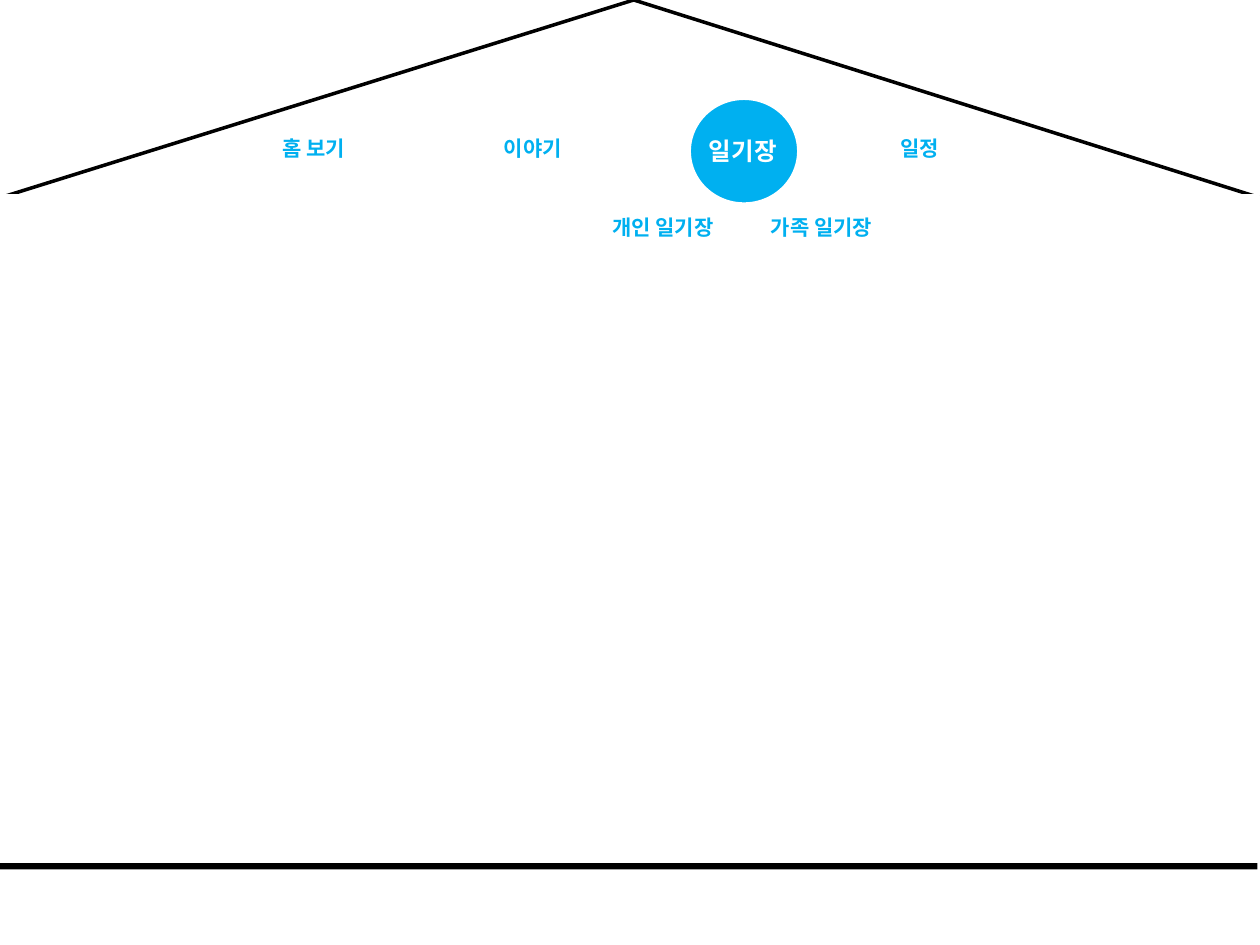
from lxml import etree
from pptx import Presentation
from pptx import util as u
from pptx.dml.color import RGBColor
from pptx.enum import shapes, text
from pptx.oxml import ns

COLORS = {"ink": "000000", "paper": "FFFFFF", "accent": "00B0F0"}
FONT = "Noto Sans CJK KR"
CELL = 0.1


def cells(*counts):
    return [u.Inches(count * CELL) for count in counts]


class HousePage:
    def __init__(self, page):
        self.page = page

    def shape(self, kind, place, fill=None, line=None, parent=None):
        shape = (parent or self.page).shapes.add_shape(kind, *cells(*place))
        shape.shadow.inherit = False
        if fill:
            shape.fill.solid()
            shape.fill.fore_color.rgb = RGBColor.from_string(COLORS[fill])
        else:
            shape.fill.background()
        if line:
            shape.line.color.rgb = RGBColor.from_string(COLORS[line])
            shape.line.width = u.Pt(2)
        else:
            shape.line.fill.background()
        return shape

    def label(self, wording, place, color="accent", size=12,
              align=text.PP_ALIGN.LEFT, parent=None):
        box = (parent or self.page).shapes.add_textbox(*cells(*place))
        box.text_frame.word_wrap = False
        box.text_frame.auto_size = text.MSO_AUTO_SIZE.SHAPE_TO_FIT_TEXT
        para = box.text_frame.paragraphs[0]
        para.text = wording
        para.alignment = align
        font = para.font
        font.name, font.size, font.bold = FONT, u.Pt(size), True
        font.color.rgb = RGBColor.from_string(COLORS[color])
        properties = para._p.pPr.find(ns.qn("a:defRPr"))
        etree.SubElement(properties, ns.qn("a:ea"), typeface=FONT)
        return box

    def badge(self, wording, circle, label):
        group = self.page.shapes.add_group_shape()
        self.shape(shapes.MSO_SHAPE.OVAL, circle, "accent", "paper", group)
        self.label(wording, label, "paper", 14, text.PP_ALIGN.CENTER, group)


def main():
    deck = Presentation()
    deck.slide_width, deck.slide_height = cells(100, 75)
    house = HousePage(deck.slides.add_slide(deck.slide_layouts[6]))

    roof = house.shape(shapes.MSO_SHAPE.ISOSCELES_TRIANGLE,
                       (0, 0, 100, 15.7), line="ink")
    roof.adjustments[0] = 0.5
    roof.adjustments[0] = 0.503
    house.shape(shapes.MSO_SHAPE.RECTANGLE, (0, 15.5, 99.9, 0.5),
                "paper", "paper")
    house.shape(shapes.MSO_SHAPE.RECTANGLE, (0, 68.5, 99.8, 0.5), "ink")

    menu_row, submenu_row, label_height = 10.3, 16.5, 3
    house.label("홈 보기", (21.4, menu_row, 7.7, label_height))
    house.badge("일기장", (54.7, 7.8, 8.7, 8.4), (55, menu_row, 7.9, 3.4))
    for wording, left, width in (("일정", 70.5, 5.4), ("이야기", 39, 7.1)):
        house.label(wording, (left, menu_row, width, label_height))
    for wording, left in (("개인 일기장", 47.6), ("가족 일기장", 60.2)):
        house.label(wording, (left, submenu_row, 11, label_height))

    deck.save("out.pptx")


if __name__ == "__main__":
    main()
